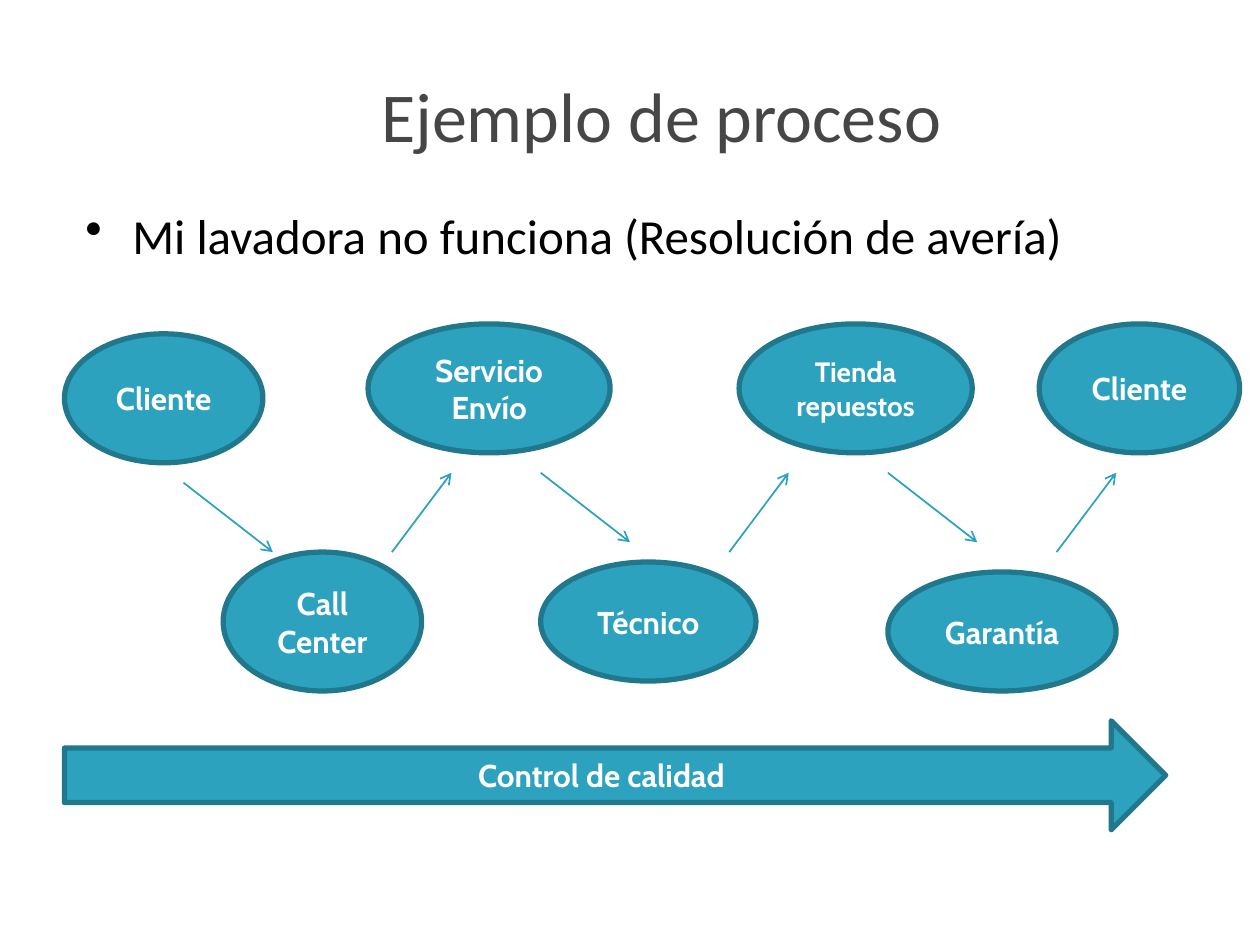
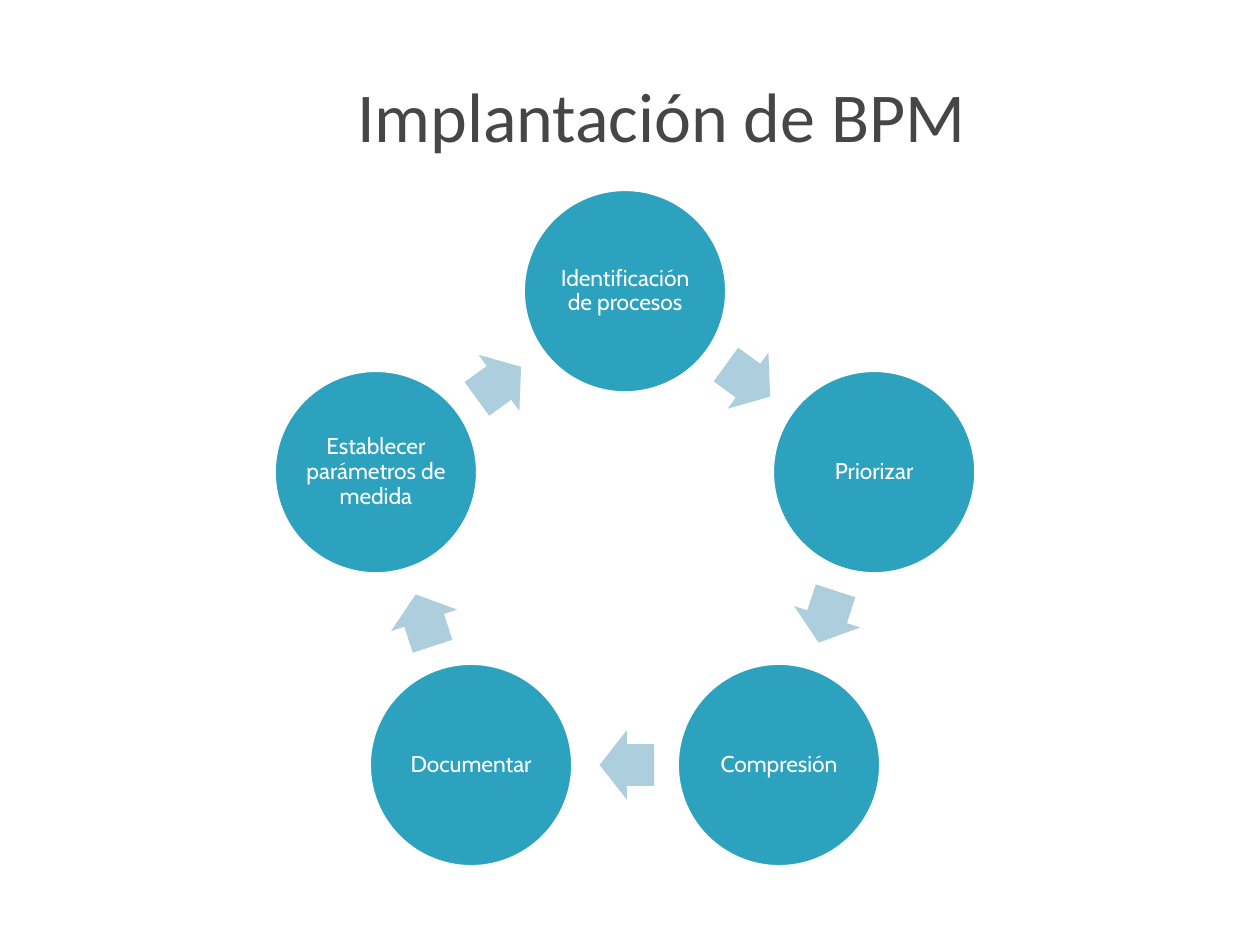
from dataclasses import dataclass
from math import cos, radians, sin

from pptx import Presentation
from pptx.dml.color import RGBColor
from pptx.enum.shapes import MSO_CONNECTOR, MSO_SHAPE
from pptx.enum.text import MSO_ANCHOR, PP_ALIGN
from pptx.oxml.xmlchemy import OxmlElement
from pptx.shapes.autoshape import Shape
from pptx.slide import Slide
from pptx.util import Cm, Pt

TEAL = "2DA2BF"
DARK_TEAL = "21788D"
PALE_BLUE = "ADCEDC"
GRAY = "464646"
BLACK = "000000"
WHITE = "FFFFFF"
HEADING_FONT = "Calibri"
DIAGRAM_FONT = "Cabin"


@dataclass(frozen=True)
class Box:
    """Position and size in centimetres."""
    left: float
    top: float
    width: float
    height: float

    def emu(self) -> tuple[int, int, int, int]:
        return Cm(self.left), Cm(self.top), Cm(self.width), Cm(self.height)


@dataclass(frozen=True)
class Participant:
    label: str
    box: Box
    size: int = 18


@dataclass(frozen=True)
class Handover:
    """An arrow from its start, with its horizontal and vertical run in cm."""
    x: float
    y: float
    run: tuple[float, float]


FALLING = (1.8, 1.4)
RISING = (1.2, -1.6)

PARTICIPANTS = [
    Participant("Cliente", Box(1.3, 6.73, 4, 2.6)),
    Participant("Call Center", Box(4.5, 11.13, 4, 2.8)),
    Participant("Servicio Envío", Box(7.42, 6.53, 4.88, 2.6)),
    Participant("Técnico", Box(10.9, 11.33, 4.34, 2.4)),
    Participant("Tienda repuestos", Box(14.9, 6.53, 4.7, 2.6), size=16),
    Participant("Garantía", Box(17.9, 11.53, 4.6, 2.4)),
    Participant("Cliente", Box(20.95, 6.53, 4.04, 2.6)),
]
HANDOVERS = [
    Handover(3.7, 9.73, FALLING),
    Handover(7.9, 11.13, RISING),
    Handover(10.9, 9.53, FALLING),
    Handover(14.7, 11.13, RISING),
    Handover(17.9, 9.53, FALLING),
    Handover(21.3, 11.13, RISING),
]
QUALITY_ARROW = Box(1.3, 14.53, 22.2, 2.2)

STAGES = [
    "Identificación de procesos",
    "Priorizar",
    "Compresión",
    "Documentar",
    "Establecer parámetros de medida",
]
CYCLE_CENTER = (12.6, 11.15)
STAGE_RADIUS = 5.28
STAGE_DIAMETER = 4.14
STEP_RADIUS = 4.27
STEP_LENGTH, STEP_HEIGHT = 1.1, 1.4


def rgb(color: str) -> RGBColor:
    return RGBColor.from_string(color)


def write(shape: Shape, text: str, *, size: float, font: str = DIAGRAM_FONT,
          color: str = WHITE, bold: bool = False, align: PP_ALIGN = PP_ALIGN.CENTER,
          anchor: MSO_ANCHOR = MSO_ANCHOR.MIDDLE, line_spacing: float = 1.0,
          space_before: float = 0, inset: float | None = None,
          bullet_indent: float | None = None) -> None:
    frame = shape.text_frame
    frame.word_wrap = True
    frame.vertical_anchor = anchor
    if inset is not None:
        frame.margin_left = frame.margin_right = Cm(inset)
        frame.margin_top = frame.margin_bottom = Cm(inset)
    paragraph = frame.paragraphs[0]
    paragraph.alignment = align
    paragraph.line_spacing = line_spacing
    paragraph.space_before = Pt(space_before)
    run = paragraph.add_run()
    run.text = text
    run.font.name = font
    run.font.size = Pt(size)
    run.font.bold = bold
    run.font.color.rgb = rgb(color)
    if bullet_indent is not None:
        properties = paragraph._p.get_or_add_pPr()
        properties.set("marL", str(Cm(bullet_indent)))
        properties.set("indent", str(-Cm(bullet_indent)))
        bullet = OxmlElement("a:buChar")
        bullet.set("char", "•")
        properties.append(bullet)


def add_figure(slide: Slide, kind: MSO_SHAPE, box: Box, *, fill: str = TEAL,
               outline: str | None = DARK_TEAL) -> Shape:
    figure = slide.shapes.add_shape(kind, *box.emu())
    figure.shadow.inherit = False
    figure.fill.solid()
    figure.fill.fore_color.rgb = rgb(fill)
    if outline is None:
        figure.line.fill.background()
    else:
        figure.line.color.rgb = rgb(outline)
        figure.line.width = Pt(3)
    return figure


def add_handover(slide: Slide, handover: Handover) -> None:
    run_x, run_y = handover.run
    connector = slide.shapes.add_connector(
        MSO_CONNECTOR.STRAIGHT, Cm(handover.x), Cm(handover.y),
        Cm(handover.x + run_x), Cm(handover.y + run_y))
    connector.line.color.rgb = rgb(TEAL)
    connector.line.width = Pt(1)
    arrowhead = OxmlElement("a:tailEnd")
    arrowhead.set("type", "arrow")
    connector.line._get_or_add_ln().append(arrowhead)
    connector._element.spPr.append(OxmlElement("a:effectLst"))


def on_cycle(radius: float, angle: float, width: float, height: float) -> Box:
    """Box centred on the cycle, at an angle in degrees clockwise from the top."""
    center_x, center_y = CYCLE_CENTER
    return Box(center_x + radius * sin(radians(angle)) - width / 2,
               center_y - radius * cos(radians(angle)) - height / 2,
               width, height)


def add_titled_slide(deck: Presentation, title: str) -> Slide:
    slide = deck.slides.add_slide(deck.slide_layouts[6])
    heading = slide.shapes.add_textbox(*Box(1.9, 0.71, 22.86, 3.18).emu())
    write(heading, title, size=40, font=HEADING_FONT, color=GRAY)
    return slide


def build_process_example(deck: Presentation) -> None:
    slide = add_titled_slide(deck, "Ejemplo de proceso")
    case = slide.shapes.add_textbox(*Box(1.47, 4.01, 22.2, 12.57).emu())
    write(case, "Mi lavadora no funciona (Resolución de avería)", size=28,
          font=HEADING_FONT, color=BLACK, align=PP_ALIGN.LEFT,
          anchor=MSO_ANCHOR.TOP, space_before=5.6, bullet_indent=0.95)
    for participant in PARTICIPANTS:
        oval = add_figure(slide, MSO_SHAPE.OVAL, participant.box)
        write(oval, participant.label, size=participant.size, bold=True)
    for handover in HANDOVERS:
        add_handover(slide, handover)
    quality = add_figure(slide, MSO_SHAPE.RIGHT_ARROW, QUALITY_ARROW)
    write(quality, "Control de calidad", size=18, bold=True)


def build_bpm_cycle(deck: Presentation) -> None:
    slide = add_titled_slide(deck, "Implantación de BPM")
    sector = 360 / len(STAGES)
    for index, stage in enumerate(STAGES):
        angle = index * sector
        circle = add_figure(
            slide, MSO_SHAPE.OVAL,
            on_cycle(STAGE_RADIUS, angle, STAGE_DIAMETER, STAGE_DIAMETER),
            outline=WHITE)
        write(circle, stage, size=13, line_spacing=0.9, inset=0.05)

        step_angle = angle + sector / 2
        step = add_figure(
            slide, MSO_SHAPE.RIGHT_ARROW,
            on_cycle(STEP_RADIUS, step_angle - 0.5, STEP_LENGTH, STEP_HEIGHT),
            fill=PALE_BLUE, outline=None)
        step.adjustments[0] = 0.6
        step.adjustments[1] = 0.5
        step.rotation = step_angle


def main() -> None:
    deck = Presentation()
    deck.slide_width, deck.slide_height = Cm(25.4), Cm(19.05)
    build_process_example(deck)
    build_bpm_cycle(deck)
    deck.save("out.pptx")


if __name__ == "__main__":
    main()
